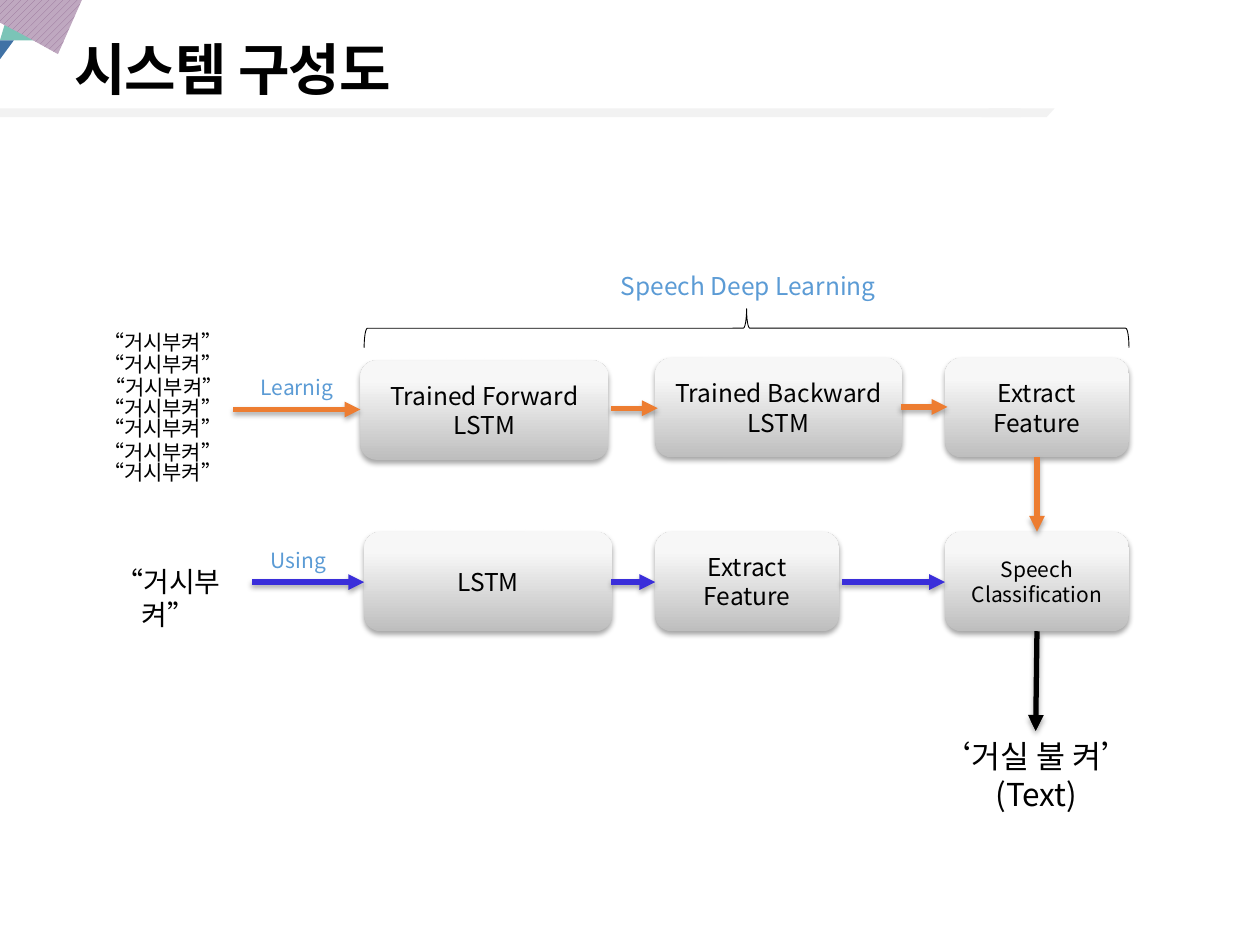
from lxml.etree import SubElement
from pptx import Presentation
from pptx.dml.color import RGBColor
from pptx.enum.dml import MSO_PATTERN
from pptx.enum.shapes import MSO_CONNECTOR, MSO_SHAPE
from pptx.enum.text import MSO_ANCHOR, PP_ALIGN
from pptx.oxml.ns import qn
from pptx.util import Inches, Pt

BLACK = RGBColor(0x00, 0x00, 0x00)
BAND = RGBColor(0xF2, 0xF2, 0xF2)
TEAL = RGBColor(0x7B, 0xC4, 0xB7)
NAVY = RGBColor(0x40, 0x72, 0xA5)
MAUVE = RGBColor(0x97, 0x73, 0x99)
LILAC = RGBColor(0xBF, 0xA8, 0xC0)
GREY = RGBColor(0xBE, 0xBE, 0xBE)
PALE = RGBColor(0xF7, 0xF7, 0xF7)
SKY = RGBColor(0x5B, 0x9B, 0xD5)
ORANGE = RGBColor(0xED, 0x7D, 0x31)
VIOLET = RGBColor(0x3A, 0x2E, 0xDA)
FONT = "Noto Sans CJK KR"

deck = Presentation()
deck.slide_width, deck.slide_height = Inches(10), Inches(7.5)
page = deck.slides.add_slide(deck.slide_layouts[6])


def write(box, text, size=14, color=BLACK, font=FONT, bold=False, align=PP_ALIGN.CENTER,
          anchor=MSO_ANCHOR.TOP, wrap=True, insets=(0.1, 0.05, 0.1, 0.05), spacing=0):
    frame = box.text_frame
    frame.text = text
    frame.word_wrap = wrap
    frame.vertical_anchor = anchor
    (frame.margin_left, frame.margin_top,
     frame.margin_right, frame.margin_bottom) = map(Inches, insets)
    for para in frame.paragraphs:
        para.alignment = align
        for span in para.runs:
            span.font.size = Pt(size)
            span.font.bold = bold
            span.font.name = font
            span.font.color.rgb = color
            properties = span.font._element
            SubElement(properties, qn("a:ea"), typeface=FONT)
            if spacing:
                properties.set("spc", str(int(spacing * 100)))


def cast_shadow(properties):
    effects = properties.find(qn("a:effectLst"))
    if effects is None:
        effects = SubElement(properties, qn("a:effectLst"))
    shadow = SubElement(effects, qn("a:outerShdw"), blurRad=str(Pt(3.1)), dist=str(Pt(1.8)),
                        dir="5400000", rotWithShape="0")
    color = SubElement(shadow, qn("a:srgbClr"), val="000000")
    SubElement(color, qn("a:alpha"), val="35000")


for kind, left, width in [(MSO_SHAPE.RECTANGLE, 0, 8.1), (MSO_SHAPE.PARALLELOGRAM, 7.79, 0.58)]:
    band = page.shapes.add_shape(kind, Inches(left), Inches(0.86), Inches(width), Inches(0.07))
    if kind == MSO_SHAPE.PARALLELOGRAM:
        band.adjustments[0] = 0.9
    band.fill.solid()
    band.fill.fore_color.rgb = BAND
    band.line.fill.background()
    band.shadow.inherit = False

ornaments = [
    (TEAL, [[(0.3, 0.32), (0, 0.32), (0.09, 0.02), (0.19, 0.17)]]),
    (MAUVE, [[(0.19, 0.28), (0, 0.18), (0, 0), (0.59, 0), (0.24, 0.25)],
             [(0.46, 0.43), (0.19, 0.28), (0.24, 0.25), (0.59, 0), (0.65, 0), (0.5, 0.34)]]),
    (NAVY, [[(0, 0.47), (0, 0.32), (0.11, 0.32)]]),
]
for color, outlines in ornaments:
    builder = None
    for outline in outlines:
        start, *rest = [(Inches(x), Inches(y)) for x, y in outline]
        if builder is None:
            builder = page.shapes.build_freeform(*start)
        else:
            builder.move_to(*start)
        builder.add_line_segments(rest, close=True)
    ornament = builder.convert_to_shape()
    if color == MAUVE:
        ornament.fill.patterned()
        ornament.fill.pattern = MSO_PATTERN.WIDE_UPWARD_DIAGONAL
        ornament.fill.back_color.rgb = LILAC
    else:
        ornament.fill.solid()
    ornament.fill.fore_color.rgb = color
    ornament.line.fill.background()
    ornament.shadow.inherit = False

title = page.shapes.add_textbox(0, 0, Inches(7.65), Inches(0.88))
write(title, "시스템 구성도", size=32, font="Arial", bold=True, align=PP_ALIGN.LEFT,
      anchor=MSO_ANCHOR.MIDDLE, wrap=False, insets=(0.59, 0.2, 0, 0), spacing=-0.5)

stages = [
    ("Trained Forward LSTM", 2.86, 2.86, 1.97),
    ("Trained Backward LSTM", 5.2, 2.84, 1.96),
    ("Extract\vFeature", 7.5, 2.84, 1.46),
    ("LSTM", 2.89, 4.22, 1.97),
    ("Extract\vFeature", 5.2, 4.22, 1.46),
    ("Speech\nClassification", 7.5, 4.22, 1.46),
]
for text, left, top, width in stages:
    stage = page.shapes.add_shape(MSO_SHAPE.ROUNDED_RECTANGLE, Inches(left), Inches(top),
                                  Inches(width), Inches(0.79))
    stage.fill.gradient()
    stage.fill.gradient_angle = 90
    for stop, color, position in zip(stage.fill.gradient_stops, (GREY, PALE), (0, 0.8)):
        stop.color.rgb = color
        stop.position = position
    stage.line.fill.background()
    stage.shadow.inherit = False
    cast_shadow(stage._element.spPr)
    final = text.startswith("Speech")
    write(stage, text, size=12 if final else 14, anchor=MSO_ANCHOR.MIDDLE,
          insets=(0, 0, 0, 0) if final else (0.1, 0.05, 0.1, 0.05))

COMMAND = "“거시부켜”"
small = {"size": 12, "align": PP_ALIGN.LEFT, "wrap": False}
labels = [(COMMAND, 0.73 if top == 2.92 else 0.72, top, 1.21, 0.3, small)
          for top in (2.57, 2.74, 2.92, 3.09, 3.25, 3.44, 3.6)]
labels += [
    ("Learnig", 1.97, 2.92, 0.89, 0.3, {**small, "color": SKY}),
    ("Using", 2.05, 4.3, 0.73, 0.3, {**small, "color": SKY}),
    (COMMAND, 0.67, 4.43, 1.33, 0.37, {"size": 16}),
    ("Speech Deep Learning", 4.29, 2.1, 3.3, 0.34, {"color": SKY}),
    ("‘거실 불 켜’\n(Text)", 7.22, 5.8, 2.01, 0.71, {"size": 18}),
]
for text, left, top, width, height, style in labels:
    label = page.shapes.add_textbox(Inches(left), Inches(top), Inches(width), Inches(height))
    write(label, text, **style)

brace = page.shapes.add_shape(MSO_SHAPE.LEFT_BRACE, Inches(5.77), Inches(-0.43),
                              Inches(0.31), Inches(6.07))
brace.rotation = 90
brace.fill.background()
brace.line.color.rgb = BLACK
brace.line.width = Pt(0.5)
brace.shadow.inherit = False

arrows = [
    (1.85, 3.25, 2.86, 3.25, ORANGE, 3),
    (4.85, 3.24, 5.22, 3.24, ORANGE, 3),
    (7.15, 3.23, 7.52, 3.23, ORANGE, 3),
    (8.23, 3.63, 8.23, 4.22, ORANGE, 3),
    (2, 4.62, 2.89, 4.62, VIOLET, 3),
    (4.85, 4.62, 5.2, 4.62, VIOLET, 3),
    (6.68, 4.62, 7.5, 4.62, VIOLET, 3),
    (8.22, 5.01, 8.22, 5.8, BLACK, 0.5),
    (8.23, 5.01, 8.22, 5.8, BLACK, 3),
]
for *ends, color, weight in arrows:
    arrow = page.shapes.add_connector(MSO_CONNECTOR.STRAIGHT, *map(Inches, ends))
    arrow.line.color.rgb = color
    arrow.line.width = Pt(weight)
    properties = arrow._element.spPr
    SubElement(properties.find(qn("a:ln")), qn("a:tailEnd"), type="triangle")
    if weight == 3:
        cast_shadow(properties)
    else:
        SubElement(properties, qn("a:effectLst"))

deck.save("out.pptx")
